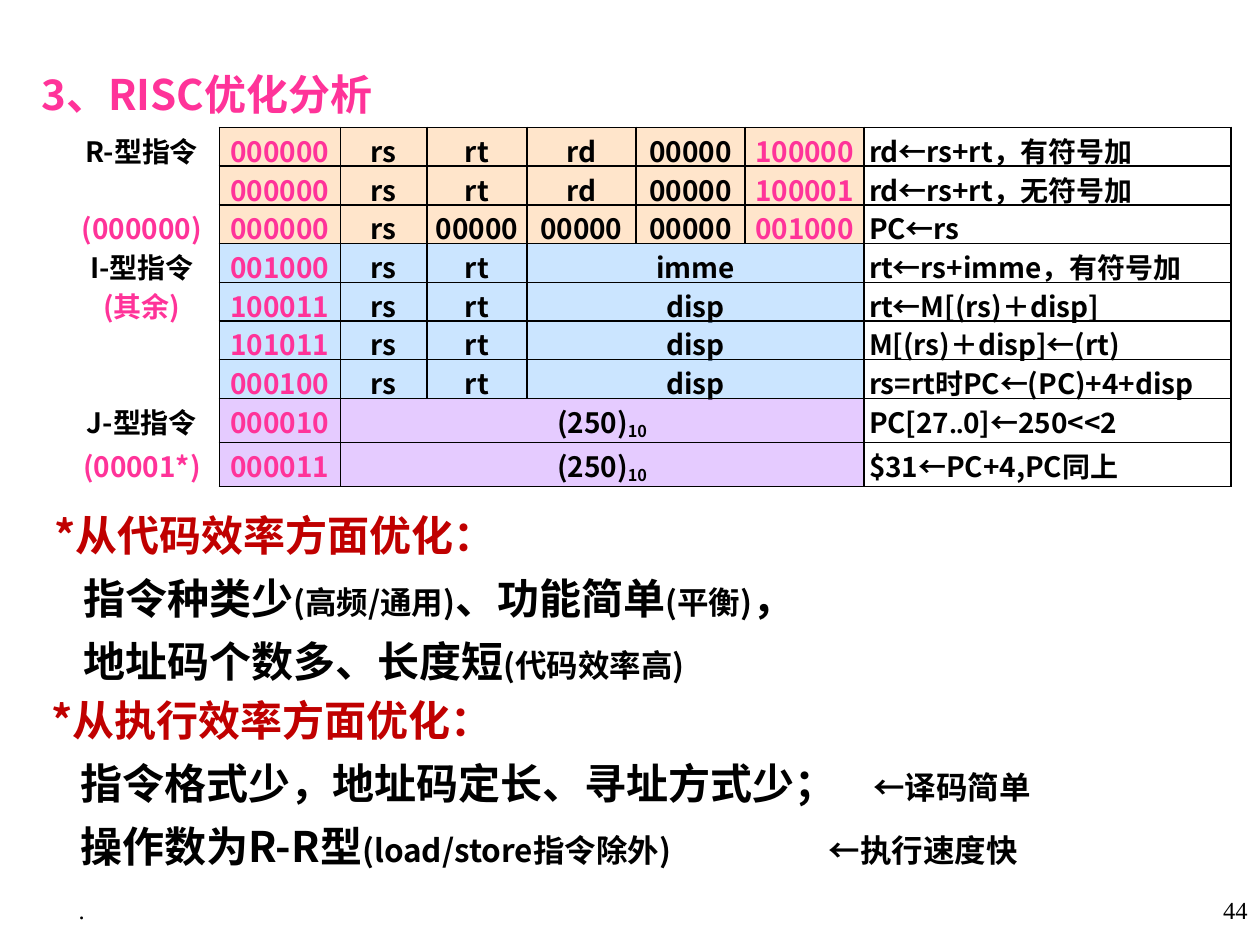
import pptx
import pptx.util
import pptx.dml.color
import pptx.enum.text
import pptx.oxml.ns
from lxml import etree
from pptx.util import Cm

COLORS = {"pink": "FF3399", "black": "000000", "red": "C00000",
          "orange": "FFCC99", "blue": "99CCFF", "violet": "CC99FF"}
SANS = "Noto Sans CJK SC"
SERIF = "Times New Roman"
ALIGN = pptx.enum.text.PP_ALIGN
ANCHOR = pptx.enum.text.MSO_ANCHOR
COLUMNS = [3.12, 2.44, 1.75, 2.01, 2.2, 2.2, 2.4, 7.4]
ROW_HEIGHTS = [0.78] * 7 + [0.89] * 2
INSTRUCTIONS = [
    ("R-型指令", "orange", ["000000", "rs", "rt", "rd", "00000", "100000"], "rd←rs+rt，有符号加"),
    ("", "orange", ["000000", "rs", "rt", "rd", "00000", "100001"], "rd←rs+rt，无符号加"),
    ("(000000)", "orange", ["000000", "rs", "00000", "00000", "00000", "001000"], "PC←rs"),
    ("I-型指令", "blue", ["001000", "rs", "rt", "imme"], "rt←rs+imme，有符号加"),
    ("(其余)", "blue", ["100011", "rs", "rt", "disp"], "rt←M[(rs)＋disp]"),
    ("", "blue", ["101011", "rs", "rt", "disp"], "M[(rs)＋disp]←(rt)"),
    ("", "blue", ["000100", "rs", "rt", "disp"], "rs=rt时PC←(PC)+4+disp"),
    ("J-型指令", "violet", ["000010", "(250)"], "PC[27..0]←250<<2"),
    ("(00001*)", "violet", ["000011", "(250)"], "$31←PC+4,PC同上"),
]
CODE_NOTES = [
    [("指令种类少", 24), ("(高频/通用)", 18), ("、功能简单", 24), ("(平衡)", 18), ("，", 24)],
    [("地址码个数多、长度短", 24), ("(代码效率高)", 18)],
]
EXECUTION_NOTES = [
    [("指令格式少，地址码定长、寻址方式少；", 24)],
    [("操作数为R-R型", 24), ("(load/store指令除外)", 18)],
]
BENEFITS = [("←译码简单", 17.35, 15.16), ("←执行速度快", 16.46, 16.43)]


def add_element(parent, tag, **attributes):
    return etree.SubElement(parent, pptx.oxml.ns.qn(tag), attributes)


def add_span(para, text, size, color="black", font=SANS):
    span = para.add_run()
    span.text = text
    span.font.size = pptx.util.Pt(size)
    span.font.bold = font == SANS
    span.font.name = font
    span.font.color.rgb = pptx.dml.color.RGBColor.from_string(COLORS[color])
    add_element(span.font._element, "a:ea", typeface=font)
    return span


def add_box(page, left, top, width, height):
    box = page.shapes.add_textbox(Cm(left), Cm(top), Cm(width), Cm(height))
    box.text_frame.word_wrap = True
    return box.text_frame


def add_label(page, text, left, width, align):
    para = add_box(page, left, 17.92, width, 0.99).paragraphs[0]
    para.alignment = align
    add_span(para, text, 14, font=SERIF)


def indent(para, margin):
    para.line_spacing = 1.25
    properties = para._p.get_or_add_pPr()
    properties.set("marL", str(Cm(margin)))
    properties.set("indent", "0")


def add_notes(page, left, top, width, heading, lines):
    frame = add_box(page, left, top, width, 4.11)
    indent(frame.paragraphs[0], 0.2)
    add_span(frame.paragraphs[0], heading, 24, "red")
    for line in lines:
        para = frame.add_paragraph()
        indent(para, 0.79)
        for text, size in line:
            add_span(para, text, size)


def add_benefit(page, text, left, top):
    para = add_box(page, left, top, 5, 1.2).paragraphs[0]
    para.line_spacing = 1.25
    add_span(para, text, 18)


def set_borders(cell, sides):
    properties = cell._tc.get_or_add_tcPr()
    for position, side in enumerate(sides):
        line = etree.Element(pptx.oxml.ns.qn("a:ln" + side), w=str(pptx.util.Pt(1)))
        fill = add_element(line, "a:solidFill")
        add_element(fill, "a:srgbClr", val=COLORS["black"])
        properties.insert(position, line)


def set_fill(cell, color):
    if not color:
        cell.fill.background()
        return
    cell.fill.solid()
    cell.fill.fore_color.rgb = pptx.dml.color.RGBColor.from_string(COLORS[color])
    tint = cell._tc.tcPr.find(".//" + pptx.oxml.ns.qn("a:srgbClr"))
    add_element(tint, "a:alpha", val="50000")


def fill_cell(cell, text, color="black", align=ALIGN.CENTER, fill=None):
    cell.margin_left = cell.margin_right = Cm(0.1)
    cell.margin_top = cell.margin_bottom = Cm(0.05)
    cell.vertical_anchor = ANCHOR.MIDDLE
    set_fill(cell, fill)
    para = cell.text_frame.paragraphs[0]
    para.alignment = align
    if not text:
        para.font.size = pptx.util.Pt(16)
    for part in filter(None, text.partition("..")):
        add_span(para, part, 16, color, SERIF if part == ".." else SANS).font.bold = True
    if text == "(250)":
        add_span(para, "10", 16).font._element.set("baseline", "-14000")


def add_instruction_table(page):
    frame = page.shapes.add_table(len(INSTRUCTIONS), len(COLUMNS), Cm(1.3), Cm(2.57),
                                  Cm(sum(COLUMNS)), Cm(sum(ROW_HEIGHTS)))
    table = frame.table
    table.first_row = table.horz_banding = False
    style = table._tbl.tblPr.find(pptx.oxml.ns.qn("a:tableStyleId"))
    style.text = "{2D5ABB26-0587-4C30-8999-92F81FD0307C}"
    for column, width in zip(table.columns, COLUMNS):
        column.width = Cm(width)
    for row, height in zip(table.rows, ROW_HEIGHTS):
        row.height = Cm(height)
    for row, (kind, fill, fields, meaning) in enumerate(INSTRUCTIONS):
        fill_cell(table.cell(row, 0), kind, "pink" if kind.startswith("(") else "black")
        for column, field in enumerate(fields, 1):
            is_code = column in (1, 6)
            fill_cell(table.cell(row, column), field, "pink" if is_code else "black", fill=fill)
        fill_cell(table.cell(row, 7), meaning, align=ALIGN.LEFT)
        if len(fields) < 6:
            table.cell(row, len(fields)).merge(table.cell(row, 6))
        set_borders(table.cell(row, 0), "R")
        for column in range(1, len(COLUMNS)):
            set_borders(table.cell(row, column), "LRTB")


def add_title(page):
    title = page.shapes.title
    title.left, title.top, title.width, title.height = Cm(0.58), Cm(0.99), Cm(23.93), Cm(1.55)
    title.text_frame.vertical_anchor = ANCHOR.TOP
    para = title.text_frame.paragraphs[0]
    para.alignment = ALIGN.LEFT
    para.line_spacing = 1.25
    add_span(para, "3、RISC优化分析", 24, "pink")


def main():
    deck = pptx.Presentation()
    deck.slide_width, deck.slide_height = Cm(25.4), Cm(19.05)
    page = deck.slides.add_slide(deck.slide_layouts[5])
    add_label(page, "44", 22.5, 2.9, ALIGN.RIGHT)
    add_title(page)
    add_notes(page, 0.64, 9.9, 23.93, "*从代码效率方面优化：", CODE_NOTES)
    add_notes(page, 0.59, 13.62, 24.51, "*从执行效率方面优化：", EXECUTION_NOTES)
    for text, left, top in BENEFITS:
        add_benefit(page, text, left, top)
    add_instruction_table(page)
    add_label(page, ".", 0, 3.3, ALIGN.CENTER)
    deck.save("out.pptx")


if __name__ == "__main__":
    main()
